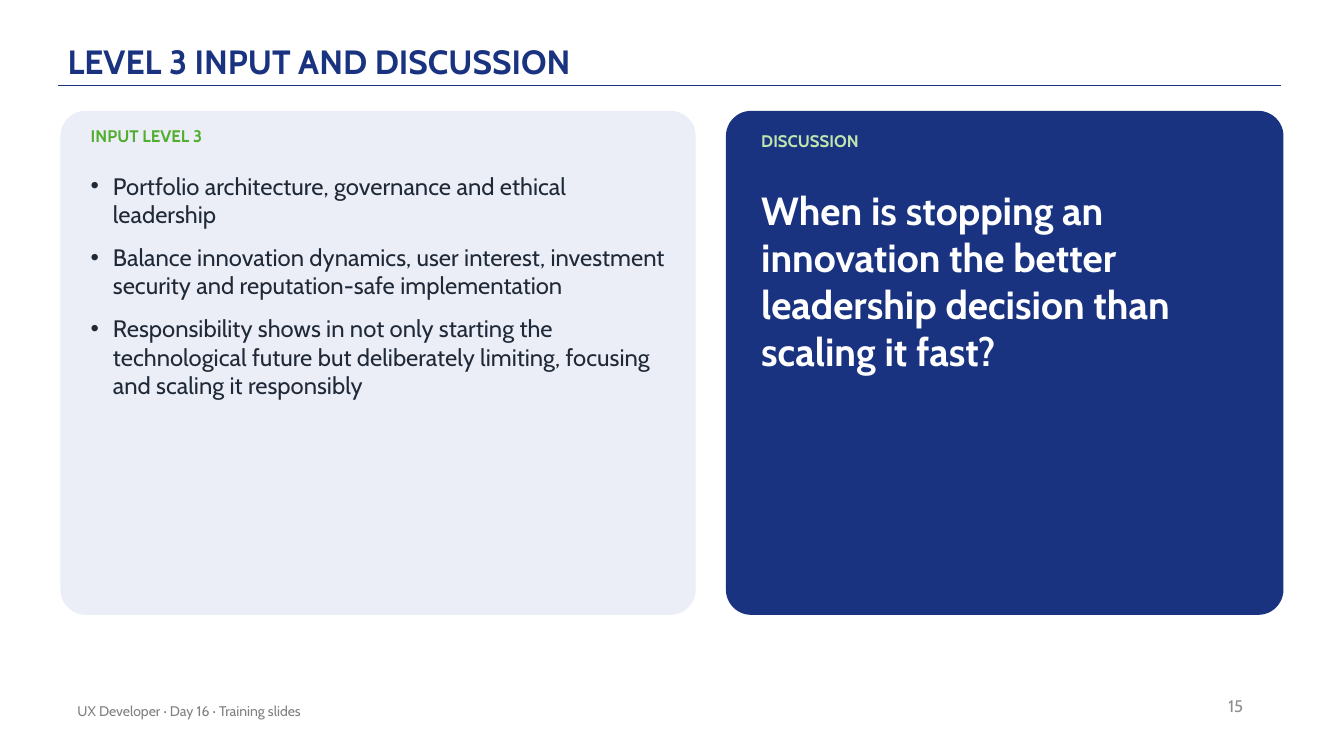
"""Build the Level 3 input and discussion slide."""
from lxml.etree import SubElement as Sub
from pptx import Presentation
from pptx.dml.color import RGBColor as Rgb
from pptx.enum.shapes import MSO_CONNECTOR as Conn, MSO_SHAPE as Shape
from pptx.enum.text import MSO_ANCHOR as Anchor, MSO_AUTO_SIZE as Auto, PP_ALIGN as Align
from pptx.oxml.ns import qn
from pptx.util import Inches, Pt

FONT = "Cabin"
HUES = {"navy": "1A3381", "pale": "ECEEF7", "green": "51AE2F", "mint": "BFE5AE",
        "ink": "1F2937", "white": "FFFFFF", "grey": "808080", "silver": "8C8C8C"}
TITLE = "LEVEL 3 INPUT AND DISCUSSION"
POINTS = [
    "Portfolio architecture, governance and ethical leadership",
    "Balance innovation dynamics, user interest, investment security "
    "and reputation-safe implementation",
    "Responsibility shows in not only starting the technological future "
    "but deliberately limiting, focusing and scaling it responsibly",
]
QUESTION = ["When is stopping an innovation the better leadership decision "
            "than scaling it fast?"]
TOP, TALL = 1.1, 5
PANELS = [
    {"left": 0.6, "wide": 6.3, "fill": "pale", "pad": 0.3, "head": "INPUT LEVEL 3",
     "tint": "green", "drop": 0.15, "gap": 0.45, "body": POINTS,
     "look": {"size": 17, "hue": "ink", "after": 10, "dot": True}},
    {"left": 7.2, "wide": 5.53, "fill": "navy", "pad": 0.35, "head": "DISCUSSION",
     "tint": "mint", "drop": 0.2, "gap": 0.55, "body": QUESTION,
     "look": {"size": 28, "hue": "white", "bold": True, "after": 6}},
]
FOOTER = [
    ((0.67, 6.85, 6.7, 0.4), "UX Developer · Day 16 · Training slides", 10, "grey", Align.LEFT),
    ((9.43, 6.8, 3, 0.4), "15", 12, "silver", Align.RIGHT),
]


def tone(name):
    return Rgb.from_string(HUES[name])


def apply(thing, **values):
    for key, value in values.items():
        setattr(thing, key, value)


def bullet(para):
    props = para._p.get_or_add_pPr()
    props.set("marL", str(Inches(0.22)))
    props.set("indent", str(-Inches(0.22)))
    Sub(props, qn("a:buFont")).set("typeface", "Arial")
    Sub(props, qn("a:buChar")).set("char", "•")


def write(frame, lines, size, hue, bold=False, after=0, dot=False,
          align=Align.LEFT, space=None):
    for i, line in enumerate(lines):
        para = frame.add_paragraph() if i else frame.paragraphs[0]
        if dot:
            bullet(para)
        apply(para, alignment=align, space_after=Pt(after), line_spacing=space)
        run = para.add_run()
        run.text = line
        apply(run.font, name=FONT, size=Pt(size), bold=bold)
        run.font.color.rgb = tone(hue)


def textbox(slide, area, lines, inset=True, anchor=Anchor.TOP, **look):
    frame = slide.shapes.add_textbox(*map(Inches, area)).text_frame
    apply(frame, word_wrap=True, vertical_anchor=anchor)
    if not inset:
        apply(frame, margin_left=0, margin_top=0, margin_right=0, margin_bottom=0)
    write(frame, lines, **look)


def heading(slide):
    line = slide.shapes.add_connector(
        Conn.STRAIGHT, *map(Inches, (12.71, 0.85, 0.58, 0.85)))
    line.line.width = Pt(1)
    line.line.color.rgb = tone("navy")
    Sub(line._element.spPr, qn("a:effectLst"))
    title = slide.shapes.title
    apply(title, left=Inches(0.67), top=Inches(0.12),
          width=Inches(11), height=Inches(0.72))
    apply(title.text_frame, margin_left=0, margin_right=0, margin_top=Inches(0.03),
          margin_bottom=Inches(0.03), vertical_anchor=Anchor.BOTTOM,
          word_wrap=True, auto_size=Auto.NONE)
    write(title.text_frame, [TITLE], 24, "navy", bold=True, space=0.9)


def panel(slide, left, wide, fill, pad, head, tint, drop, gap, body, look):
    card = slide.shapes.add_shape(
        Shape.ROUNDED_RECTANGLE, *map(Inches, (left, TOP, wide, TALL)))
    card.adjustments[0] = 0.05
    card.shadow.inherit = False
    card.fill.solid()
    card.fill.fore_color.rgb = tone(fill)
    card.line.fill.background()
    x, y, inner = left + pad, TOP + drop, wide - 2 * pad
    textbox(slide, (x, y, inner, 0.35), [head], inset=False,
            size=12, hue=tint, bold=True, after=6)
    textbox(slide, (x, y + gap, inner, TOP + TALL - 0.2 - y - gap), body,
            inset=False, **look)


def main():
    deck = Presentation()
    apply(deck, slide_width=Inches(13.33), slide_height=Inches(7.5))
    slide = deck.slides.add_slide(deck.slide_layouts.get_by_name("Title Only"))
    heading(slide)
    for item in PANELS:
        panel(slide, **item)
    for area, words, size, hue, align in FOOTER:
        textbox(slide, area, [words], anchor=Anchor.MIDDLE,
                size=size, hue=hue, align=align)
    deck.save("out.pptx")


if __name__ == "__main__":
    main()
